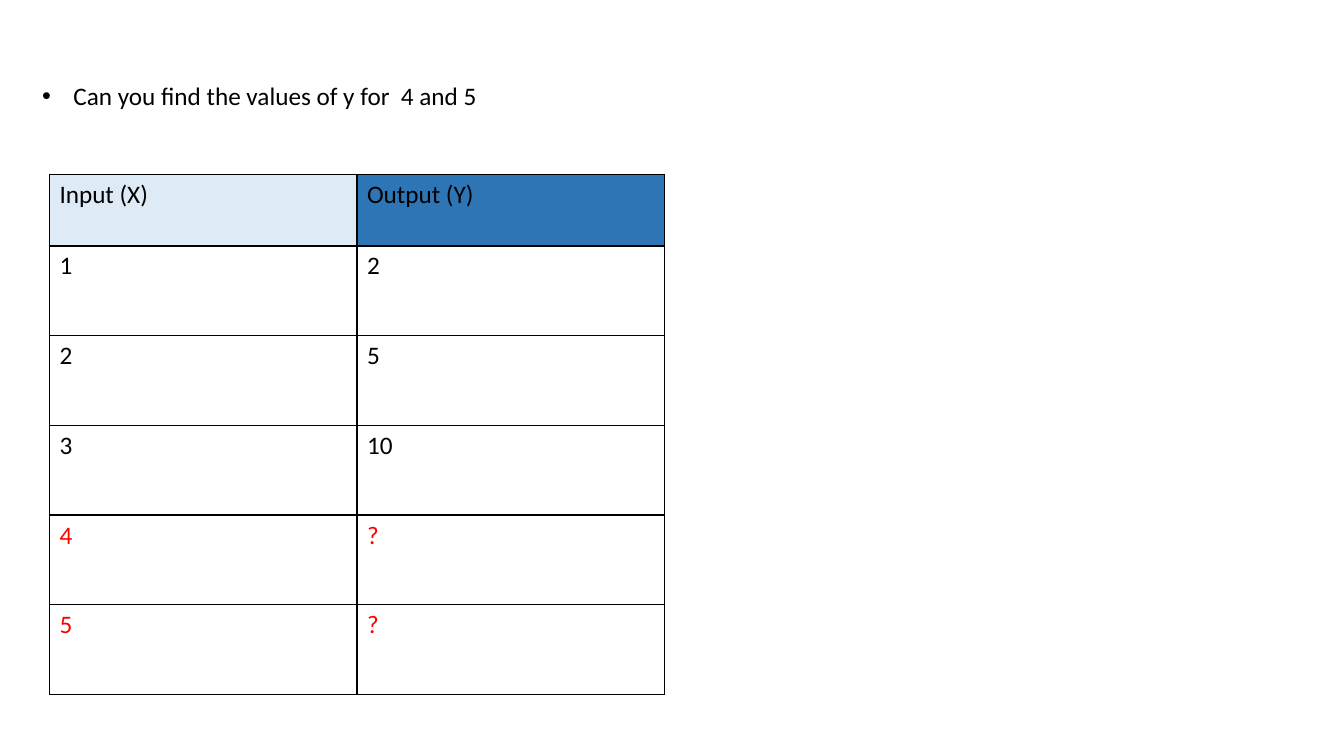
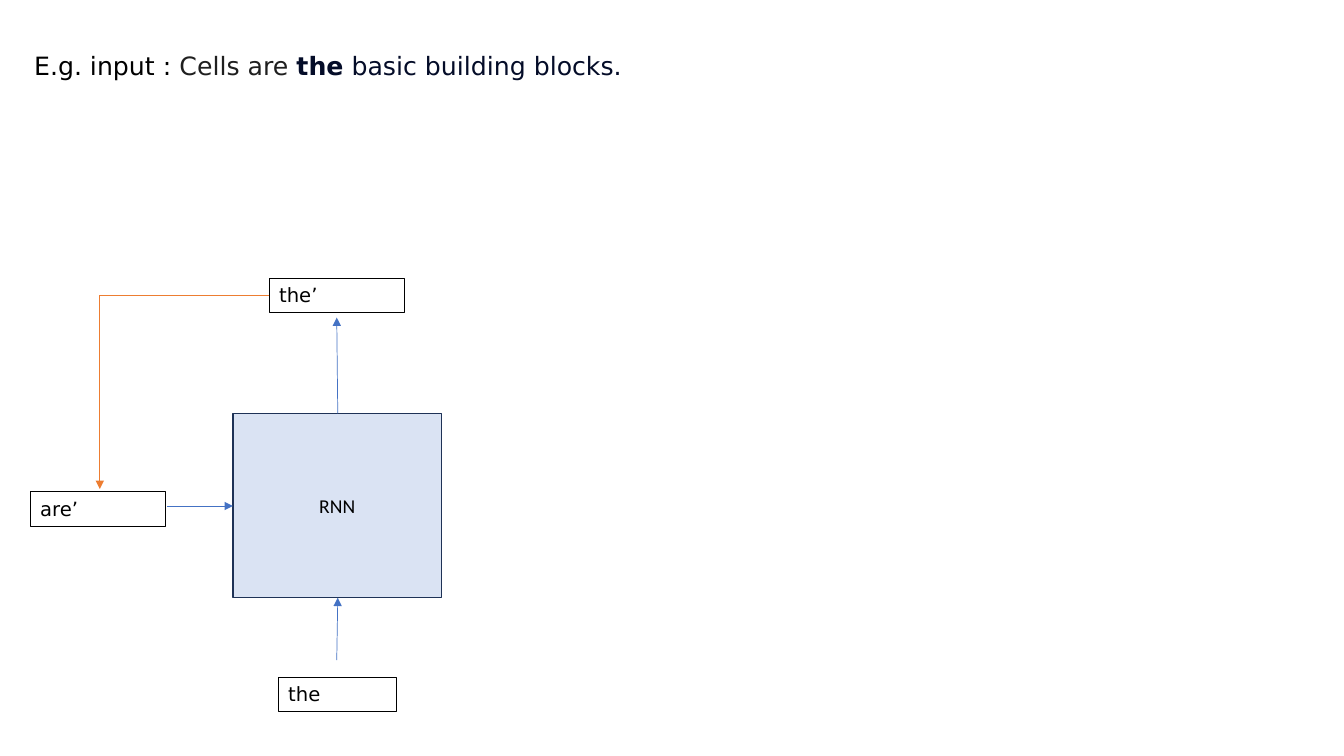
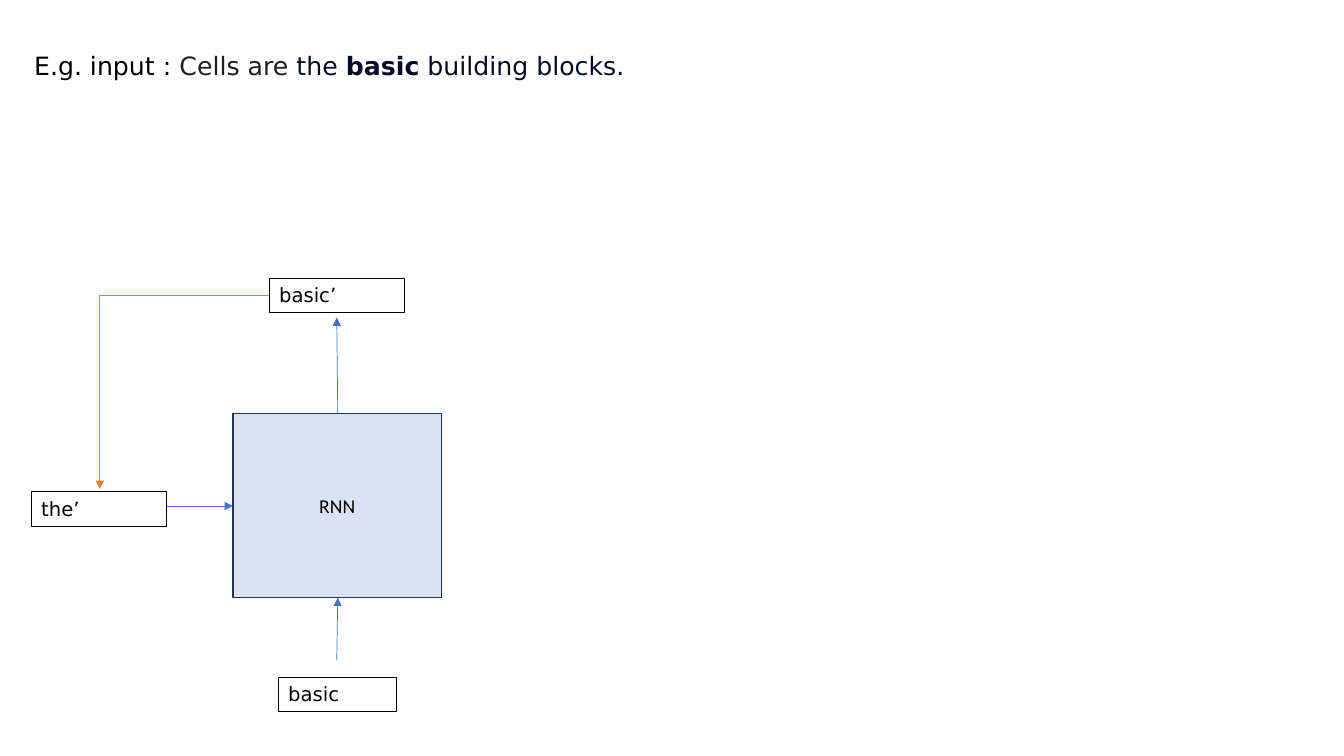
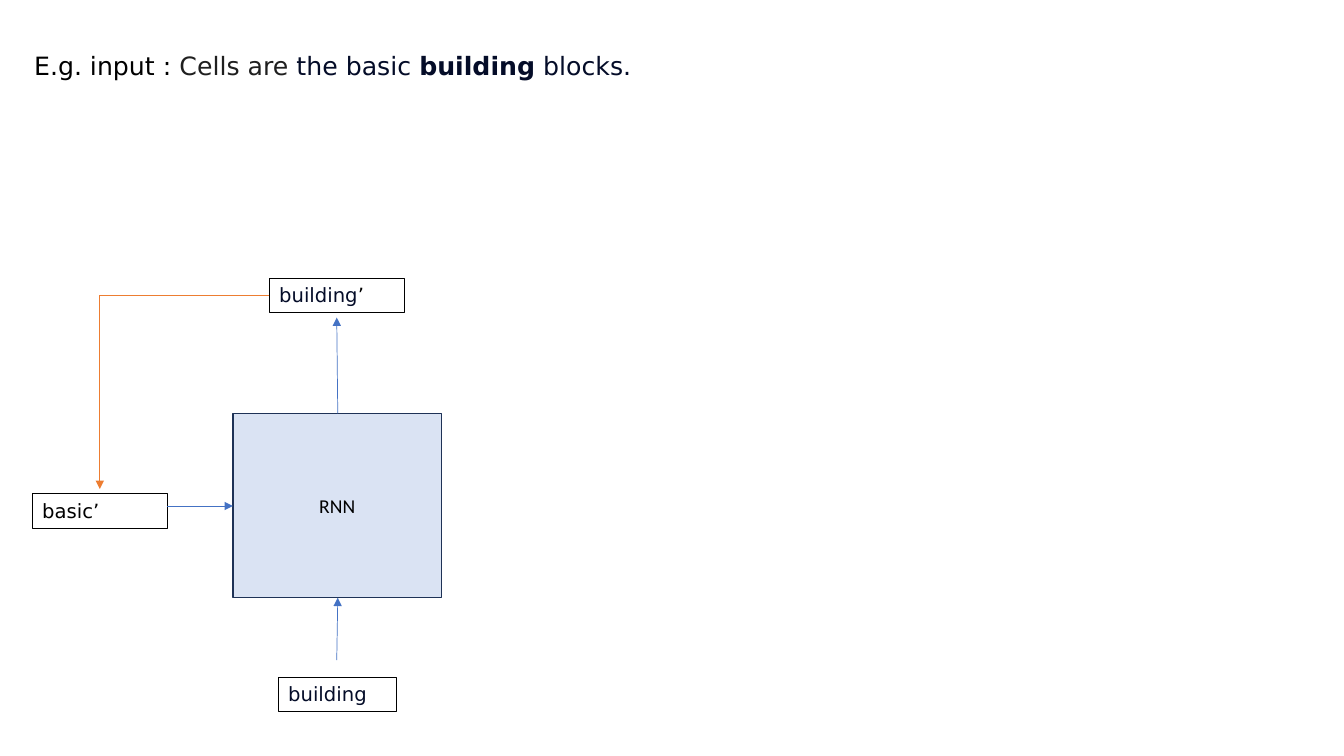
from lxml import etree
from pptx import Presentation
from pptx.dml.color import RGBColor
from pptx.enum.shapes import MSO_CONNECTOR, MSO_SHAPE
from pptx.enum.text import MSO_ANCHOR, MSO_AUTO_SIZE, PP_ALIGN
from pptx.oxml.ns import qn
from pptx.util import Emu, Pt

PX = 9144  # 100 px to the inch
STRAIGHT, ELBOW = MSO_CONNECTOR.STRAIGHT, MSO_CONNECTOR.ELBOW
RECT = MSO_SHAPE.RECTANGLE
MIDDLE, CENTER = MSO_ANCHOR.MIDDLE, PP_ALIGN.CENTER
GROW = MSO_AUTO_SIZE.SHAPE_TO_FIT_TEXT
SANS, MONO_WIDE = "Calibri", "DejaVu Sans"
COLORS = {
    "black": "000000", "red": "FF0000", "gray": "1F1F1F", "navy": "040C28",
    "head_x": "DEEBF7", "head_y": "2E75B6",
    "cell": "DAE3F3", "cell_line": "1E3256",
    "flow": "4472C4", "feedback": "ED7D31",
}


def rgb(name):
    return RGBColor.from_string(COLORS[name])


def add_text(p, text, size=18, font=MONO_WIDE, color="black", bold=False):
    r = p.add_run()
    r.text = text
    r.font.size = Pt(size)
    r.font.name = font
    r.font.bold = bold
    r.font.color.rgb = rgb(color)


prs = Presentation()
prs.slide_width, prs.slide_height = Emu(1333 * PX), Emu(750 * PX)
blank = prs.slide_layouts[6]

# Slide 1: table of inputs and outputs
slide = prs.slides.add_slide(blank)
rows = [("Input (X)", "Output (Y)"), ("1", "2"), ("2", "5"), ("3", "10"),
        ("4", "?"), ("5", "?")]
heights = [71] + [89] * 5
frame = slide.shapes.add_table(len(rows), 2, 49 * PX, 173 * PX,
                               610 * PX, sum(heights) * PX)
table = frame.table
table.first_row = table.horz_banding = False
for col in table.columns:
    col.width = Emu(305 * PX)
for i, row in enumerate(rows):
    table.rows[i].height = Emu(heights[i] * PX)
    for j, text in enumerate(row):
        cell = table.cell(i, j)
        add_text(cell.text_frame.paragraphs[0], text, font=SANS,
                 color="red" if i > 3 else "black")
        # Borders go before the fill
        tcPr = cell._tc.get_or_add_tcPr()
        for side in ("a:lnL", "a:lnR", "a:lnT", "a:lnB"):
            ln = etree.SubElement(tcPr, qn(side), w=str(Pt(1)))
            fill = etree.SubElement(ln, qn("a:solidFill"))
            etree.SubElement(fill, qn("a:srgbClr"), val=COLORS["black"])
        if i == 0:
            cell.fill.solid()
            cell.fill.fore_color.rgb = rgb(("head_x", "head_y")[j])
        else:
            cell.fill.background()

# Slide 1: bulleted question
sp = slide.shapes.add_textbox(32 * PX, 75 * PX, 758 * PX, 40 * PX)
tf = sp.text_frame
tf.word_wrap = True
tf.auto_size = GROW
p = tf.paragraphs[0]
add_text(p, "Can you find the values of y for  4 and 5", font=SANS)
pPr = p._p.get_or_add_pPr()
pPr.set("marL", str(31 * PX))
pPr.set("indent", str(-31 * PX))
etree.SubElement(pPr, qn("a:buFont"), typeface="Arial")
etree.SubElement(pPr, qn("a:buChar"), char="•")

# Slides 2 to 4: one RNN step each
# (text before the word, word, text after, previous word, its left and top, word color)
steps = [
    ("", "the", " basic building blocks.", "are’", 30, 488, "black"),
    ("the ", "basic", " building blocks.", "the’", 31, 488, "black"),
    ("the basic ", "building", " blocks.", "basic’", 32, 490, "navy"),
]
arrows = [
    (STRAIGHT, 335, 410, 334, 315, "flow"),
    (STRAIGHT, 334, 655, 335, 593, "flow"),
    (STRAIGHT, 166, 502, 231, 502, "flow"),
    (ELBOW, 99, 293, 267, 485, "feedback"),
]
for before, word, after, previous, left, top, color in steps:
    slide = prs.slides.add_slide(blank)

    # Sentence
    sp = slide.shapes.add_textbox(24 * PX, 45 * PX, 1012 * PX, 40 * PX)
    tf = sp.text_frame
    tf.word_wrap = True
    tf.auto_size = GROW
    p = tf.paragraphs[0]
    add_text(p, "E.g. input : ")
    add_text(p, "Cells are ", color="gray")
    if before:
        add_text(p, before, color="navy")
    add_text(p, word, color="navy", bold=True)
    add_text(p, after, color="navy")

    # RNN cell
    sp = slide.shapes.add_shape(RECT, 231 * PX, 410 * PX, 207 * PX, 183 * PX)
    sp.shadow.inherit = False
    sp.fill.solid()
    sp.fill.fore_color.rgb = rgb("cell")
    sp.line.color.rgb = rgb("cell_line")
    sp.line.width = Pt(1)
    sp.text_frame.vertical_anchor = MIDDLE
    p = sp.text_frame.paragraphs[0]
    p.alignment = CENTER
    add_text(p, "RNN", size=14, font=SANS)

    # Input, output and previous output
    for x, y, w, runs in [
        (276, 672, 117, [(word, color)]),
        (267, 276, 134, [(word, color), ("’", "black")]),
        (left, top, 134, [(previous, "black")]),
    ]:
        sp = slide.shapes.add_textbox(x * PX, y * PX, w * PX, 34 * PX)
        sp.line.color.rgb = rgb("black")
        sp.line.width = Pt(0.75)
        tf = sp.text_frame
        tf.word_wrap = True
        tf.auto_size = GROW
        for text, run_color in runs:
            add_text(tf.paragraphs[0], text, size=14, color=run_color)

    # Arrows
    for kind, x1, y1, x2, y2, line_color in arrows:
        c = slide.shapes.add_connector(kind, x1 * PX, y1 * PX, x2 * PX, y2 * PX)
        c.line.color.rgb = rgb(line_color)
        c.line.width = Pt(0.5)
        spPr = c._element.spPr
        etree.SubElement(spPr.find(qn("a:ln")), qn("a:tailEnd"), type="triangle")
        etree.SubElement(spPr, qn("a:effectLst"))
        if kind == ELBOW:
            # Single bend: left from the output, then down
            spPr.find(qn("a:prstGeom")).set("prst", "bentConnector2")
            xfrm = spPr.find(qn("a:xfrm"))
            xfrm.set("rot", "10800000")
            xfrm.set("flipV", "1")

prs.save("out.pptx")
